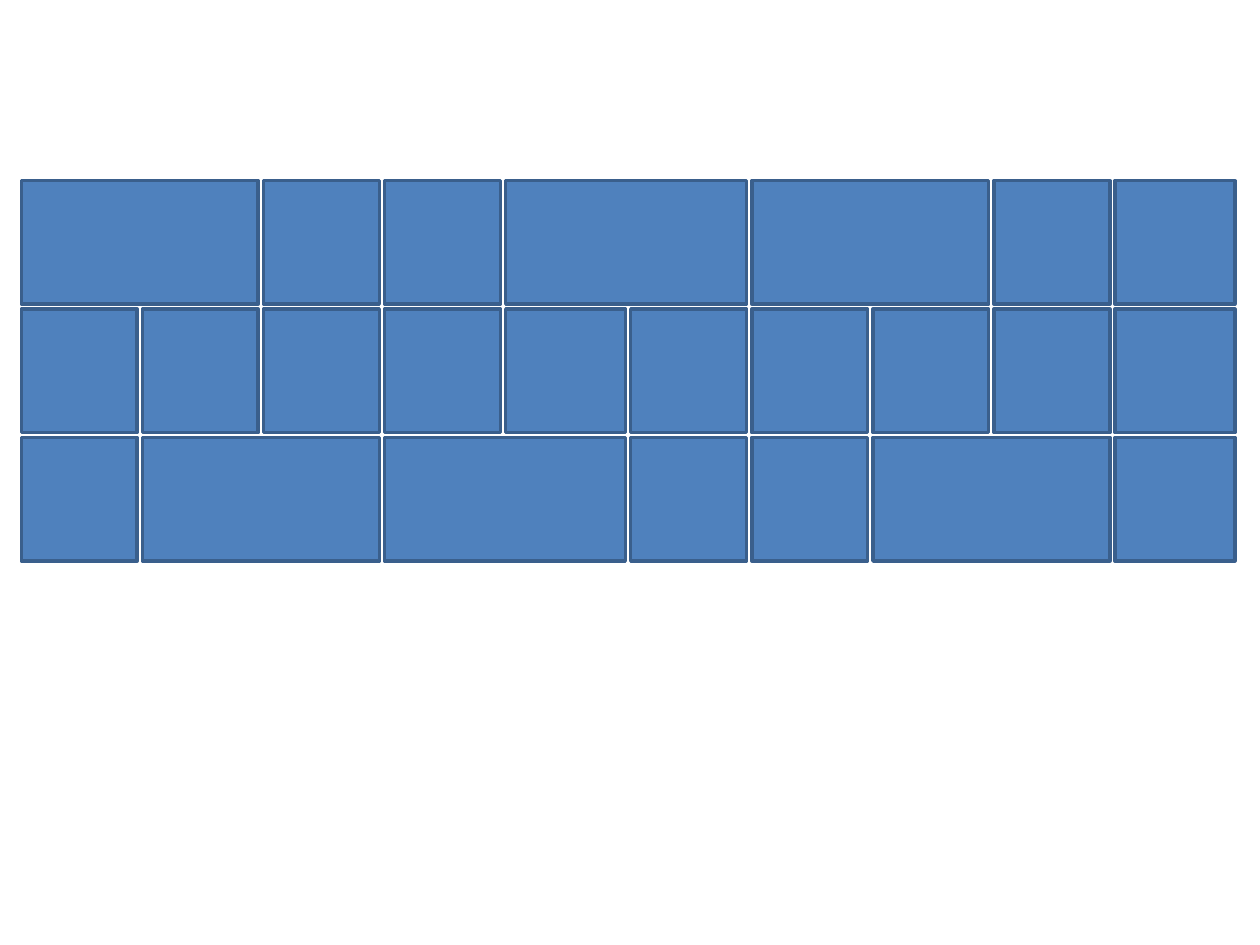
import pptx
import pptx.dml.color
import pptx.enum.shapes
import pptx.util

Pt = pptx.util.Pt

COLORS = {"brick": "4F81BD", "edge": "3A5F8C"}
BRICK_SPANS = [
    [2, 1, 1, 2, 2, 1, 1],
    [1, 1, 1, 1, 1, 1, 1, 1, 1, 1],
    [1, 2, 2, 1, 1, 2, 1],
]
COLUMN_WIDTHS = [66.2, 66.2, 66.2, 66.2, 68.4] * 2
COLUMN_GAP = 3
WALL_LEFT, WALL_TOP = 12.2, 103.2
BRICK_HEIGHT, ROW_PITCH = 70.6, 73.4


def color(name):
    return pptx.dml.color.RGBColor.from_string(COLORS[name])


def add_brick(slide, left, top, width):
    brick = slide.shapes.add_shape(
        pptx.enum.shapes.MSO_SHAPE.RECTANGLE,
        Pt(left), Pt(top), Pt(width), Pt(BRICK_HEIGHT),
    )
    brick.shadow.inherit = False
    brick.fill.solid()
    brick.fill.fore_color.rgb = color("brick")
    brick.line.color.rgb = color("edge")
    brick.line.width = Pt(2)


def main():
    presentation = pptx.Presentation()
    presentation.slide_width = Pt(720)
    presentation.slide_height = Pt(540)
    slide = presentation.slides.add_slide(presentation.slide_layouts[6])

    for row, spans in enumerate(BRICK_SPANS):
        left, column = WALL_LEFT, 0
        for span in spans:
            widths = COLUMN_WIDTHS[column:column + span]
            width = sum(widths) + COLUMN_GAP * (span - 1)
            add_brick(slide, left, WALL_TOP + row * ROW_PITCH, width)
            left += width + COLUMN_GAP
            column += span

    presentation.save("out.pptx")


if __name__ == "__main__":
    main()
